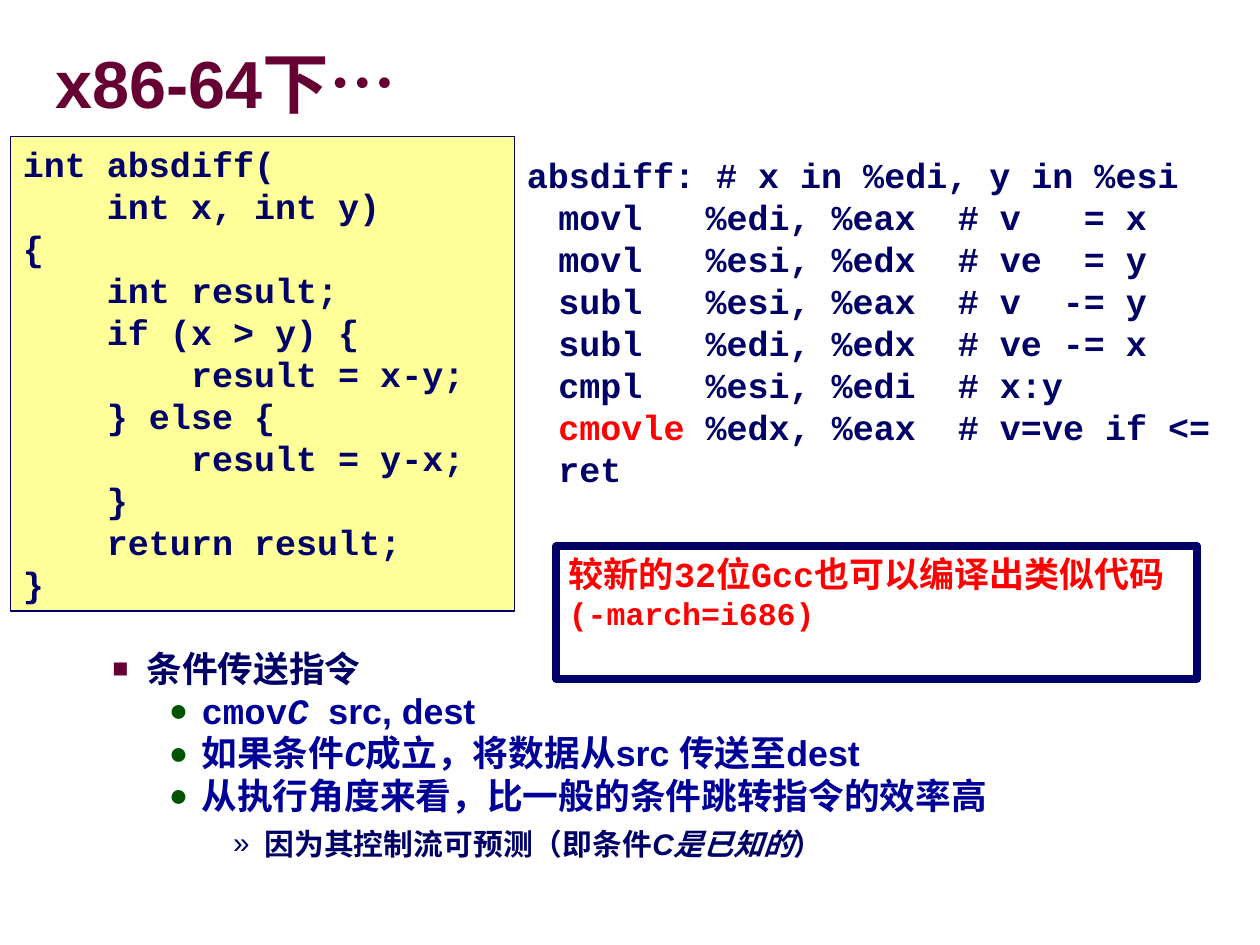
from lxml import etree
from pptx import Presentation
from pptx.dml.color import RGBColor
from pptx.enum.shapes import MSO_SHAPE
from pptx.enum.text import MSO_ANCHOR, MSO_AUTO_SIZE, PP_ALIGN
from pptx.oxml.ns import qn
from pptx.util import Pt

RECT = MSO_SHAPE.RECTANGLE
TOP, MIDDLE = MSO_ANCHOR.TOP, MSO_ANCHOR.MIDDLE
FIXED = MSO_AUTO_SIZE.NONE
LEFT = PP_ALIGN.LEFT
NAVY = RGBColor(0x00, 0x00, 0x66)
BLUE = RGBColor(0x00, 0x00, 0x99)
WINE = RGBColor(0x66, 0x00, 0x33)
GREEN = RGBColor(0x00, 0x54, 0x00)
RED = RGBColor(0xFF, 0x00, 0x00)
YELLOW = RGBColor(0xFF, 0xFF, 0x99)
SANS, MONO = "Arial", "Courier New"

SOURCE = """int absdiff(
    int x, int y)
{
    int result;
    if (x > y) {
        result = x-y;
    } else {
        result = y-x;
    }
    return result;
}"""
LISTING = """absdiff: # x in %edi, y in %esi
\tmovl   %edi, %eax  # v   = x
\tmovl   %esi, %edx  # ve  = y
\tsubl   %esi, %eax  # v  -= y
\tsubl   %edi, %edx  # ve -= x
\tcmpl   %esi, %edi  # x:y
\tcmovle %edx, %eax  # v=ve if <=
\tret"""
HOT = "cmovle"


def style(par, size, color, face):
    par.alignment = LEFT
    font = par.font
    font.size, font.bold, font.name = Pt(size), True, face
    font.color.rgb = color


def add_mark(par, char, color, scale, left, hang):
    """Give a paragraph its bullet and hanging indent, in points."""
    props = par._p.get_or_add_pPr()
    props.set("marL", str(Pt(left)))
    props.set("indent", str(-Pt(hang)))
    tint = etree.SubElement(props, qn("a:buClr"))
    etree.SubElement(tint, qn("a:srgbClr"), val=str(color))
    etree.SubElement(props, qn("a:buSzPct"), val=str(scale * 1000))
    etree.SubElement(props, qn("a:buFont"), typeface=SANS)
    etree.SubElement(props, qn("a:buChar"), char=char)


prs = Presentation()
prs.slide_width, prs.slide_height = Pt(720), Pt(540)
slide = prs.slides.add_slide(prs.slide_layouts[1])

# Title
title = slide.shapes.title
title.left, title.top, title.width, title.height = Pt(31.7), Pt(19.4), Pt(686), Pt(61)
frame = title.text_frame
frame.auto_size, frame.vertical_anchor = FIXED, MIDDLE
frame.margin_left = frame.margin_right = frame.margin_top = frame.margin_bottom = 0
frame.text = "x86-64下…"
frame.paragraphs[0].line_spacing = 0.87
style(frame.paragraphs[0], 38, WINE, SANS)

# Notes on the conditional move: runs are (text, face, italic)
body = slide.placeholders[1]
body.left, body.top, body.width, body.height = Pt(18), Pt(365.8), Pt(654.5), Pt(126)
frame = body.text_frame
frame.auto_size, frame.vertical_anchor = FIXED, TOP
LEVELS = {  # mark, its colour and scale, left, hang, size, colour, before, spacing
    1: ("■", WINE, 75, 58.5, 19.5, 20.4, NAVY, 0, 1),
    2: ("●", GREEN, 90, 90, 18.7, 20.4, BLUE, 3, 0.87),
    3: ("»", NAVY, 100, 126, 18, 17, NAVY, 5, 1),
}
ITEMS = [
    (1, [("条件传送指令", SANS, False)]),
    (2, [("cmov", MONO, False), ("C", MONO, True), ("  src, dest", SANS, False)]),
    (2, [("如果条件", SANS, False), ("C", MONO, True),
         ("成立，将数据从src 传送至dest", SANS, False)]),
    (2, [("从执行角度来看，比一般的条件跳转指令的效率高", SANS, False)]),
    (3, [("因为其控制流可预测（即条件", SANS, False), ("C是已知的", SANS, True),
         ("）", SANS, False)]),
]
for i, (level, runs) in enumerate(ITEMS):
    par = frame.add_paragraph() if i else frame.paragraphs[0]
    char, tint, scale, left, hang, size, color, before, space = LEVELS[level]
    par.level = level
    add_mark(par, char, tint, scale, left, hang)
    par.space_before, par.line_spacing = Pt(before), space
    style(par, size, color, SANS)
    for text, face, slant in runs:
        run = par.add_run()
        run.text = text
        if face != SANS:
            run.font.name = face
        if slant:
            run.font.italic = True

# Assembly listing
asm = slide.shapes.add_textbox(Pt(294), Pt(84), Pt(420), Pt(199))
frame = asm.text_frame
frame.word_wrap = True
for i, line in enumerate(LISTING.split("\n")):
    par = frame.add_paragraph() if i else frame.paragraphs[0]
    tabs = etree.SubElement(par._p.get_or_add_pPr(), qn("a:tabLst"))
    etree.SubElement(tabs, qn("a:tab"), pos=str(Pt(18)), algn="l")
    style(par, 20, NAVY, MONO)
    head, hot, tail = line.partition(HOT)
    for text in filter(None, (head, hot, tail)):
        run = par.add_run()
        run.text = text
        if text == HOT:
            run.font.color.rgb = RED

# C source and remark boxes
REMARK = "较新的32位Gcc也可以编译出类似代码\n(-march=i686)"
BOXES = [  # place, fill, line width, text, text colour
    ((6, 78, 288, 271), YELLOW, 1, SOURCE, NAVY),
    ((318, 312, 366, 76), None, 4.5, REMARK, RED),
]
for place, fill, width, text, color in BOXES:
    box = slide.shapes.add_shape(RECT, *map(Pt, place))
    box.shadow.inherit = False
    if fill:
        box.fill.solid()
        box.fill.fore_color.rgb = fill
    else:
        box.fill.background()
    box.line.color.rgb, box.line.width = NAVY, Pt(width)
    frame = box.text_frame
    frame.word_wrap, frame.vertical_anchor = True, TOP
    frame.text = text
    for par in frame.paragraphs:
        style(par, 20, color, MONO)
frame.paragraphs[1].font.size = Pt(18)

prs.save("out.pptx")
